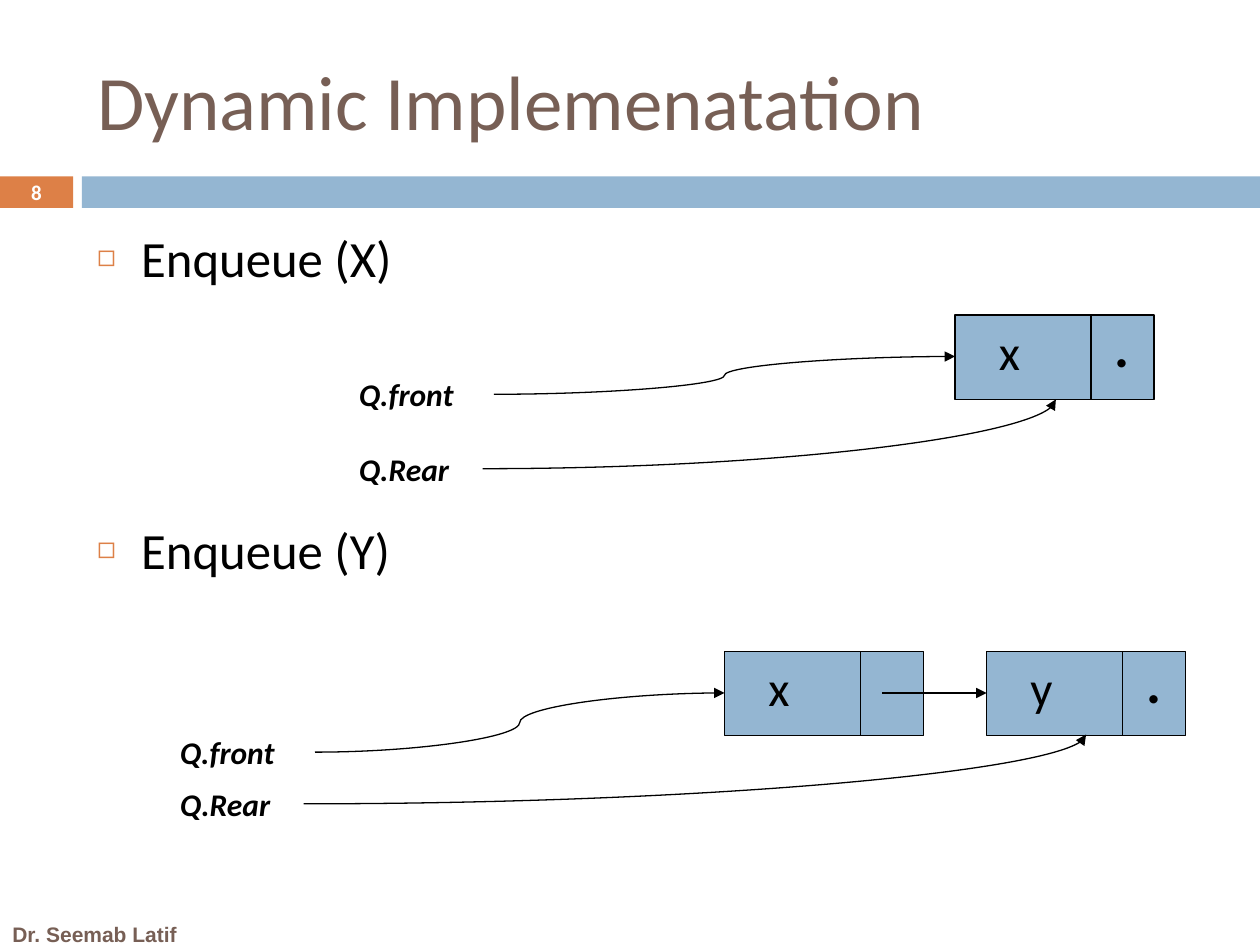
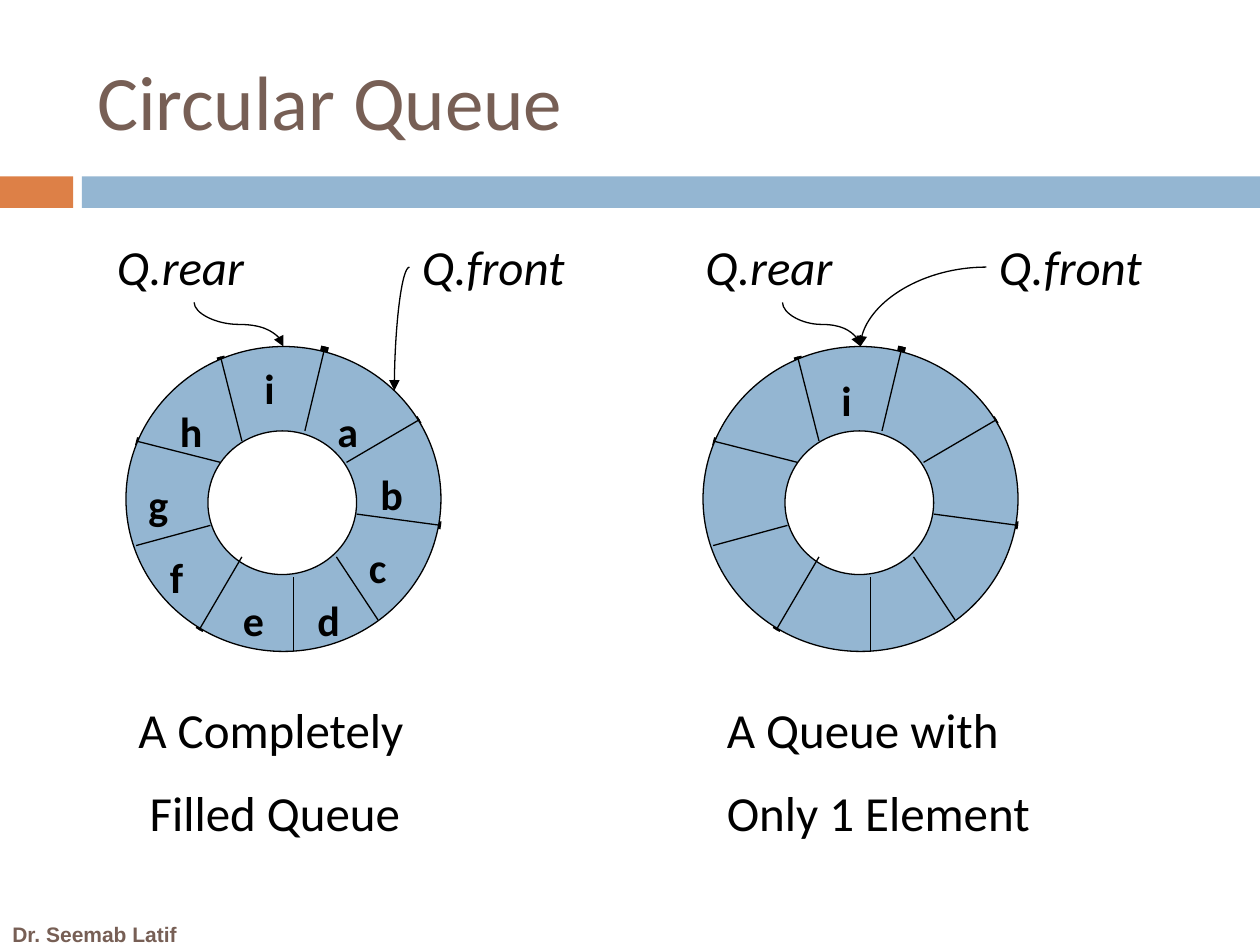
"""Build two slides on linked and circular queues."""
from dataclasses import dataclass
from lxml.etree import SubElement
from pptx import Presentation
from pptx.dml.color import RGBColor
from pptx.enum.shapes import MSO_CONNECTOR, MSO_SHAPE
from pptx.enum.text import MSO_ANCHOR, MSO_AUTO_SIZE, PP_ALIGN
from pptx.oxml.ns import qn
from pptx.util import Inches, Pt


@dataclass(frozen=True)
class Theme:
    brown: RGBColor = RGBColor.from_string("775F55")
    orange: RGBColor = RGBColor.from_string("DD8047")
    blue: RGBColor = RGBColor.from_string("94B6D2")
    black: RGBColor = RGBColor.from_string("000000")
    white: RGBColor = RGBColor.from_string("FFFFFF")
    font: str = "Calibri"
    footer_font: str = "Arial"
    title: float = 44
    bullet: float = 29
    label: float = 28
    dot: float = 32
    letter: float = 24
    pointer: float = 18
    small: float = 12
    hairline: float = 0.75
    tick: float = 4.5


theme = Theme()


def write(frame, lines, size, color=theme.black, font=theme.font, bold=False,
          italic=False, align=PP_ALIGN.LEFT, anchor=MSO_ANCHOR.TOP, gap=0):
    frame.word_wrap = True
    frame.auto_size = MSO_AUTO_SIZE.NONE
    frame.vertical_anchor = anchor
    frame.text = "\n".join(lines)
    for index, paragraph in enumerate(frame.paragraphs):
        paragraph.alignment = align
        paragraph.space_before = Pt(gap if index else 0)
        paragraph.font.size = Pt(size)
        paragraph.font.name = font
        paragraph.font.color.rgb = color
        paragraph.font.bold = bold
        paragraph.font.italic = italic


def draw_line(slide, start, end, preset="line", arrow=False, width=theme.hairline, upright=False):
    (x1, y1), (x2, y2) = start, end
    if upright:
        mid_x, mid_y = (x1 + x2) / 2, (y1 + y2) / 2
        half_x, half_y = (x2 - x1) / 2, (y2 - y1) / 2
        x1, y1, x2, y2 = mid_x + half_y, mid_y - half_x, mid_x - half_y, mid_y + half_x
    line = slide.shapes.add_connector(
        MSO_CONNECTOR.STRAIGHT, Inches(x1), Inches(y1), Inches(x2), Inches(y2))
    line.line.color.rgb = theme.black
    line.line.width = Pt(width)
    properties = line._element.spPr
    properties.find(qn("a:prstGeom")).set("prst", preset)
    if upright:
        properties.find(qn("a:xfrm")).set("rot", "16200000")
    if arrow:
        SubElement(properties.find(qn("a:ln")), qn("a:tailEnd"), type="triangle")
    SubElement(properties, qn("a:effectLst"))


deck = Presentation()
deck.slide_width, deck.slide_height = Inches(10), Inches(7.5)
dynamic = deck.slides.add_slide(deck.slide_layouts[1])
circular = deck.slides.add_slide(deck.slide_layouts[5])

for slide, heading in ((dynamic, "Dynamic Implemenatation"), (circular, "Circular Queue")):
    for left, width, color in ((0, 0.58, theme.orange), (0.65, 9.35, theme.blue)):
        band = slide.shapes.add_shape(
            MSO_SHAPE.RECTANGLE, Inches(left), Inches(1.4), Inches(width), Inches(0.25))
        band.shadow.inherit = False
        band.fill.solid()
        band.fill.fore_color.rgb = color
        band.line.fill.background()
    author = slide.shapes.add_textbox(Inches(0), Inches(7.25), Inches(1.83), Inches(0.32))
    write(author.text_frame, ["Dr. Seemab Latif"], theme.small, theme.brown,
          theme.footer_font, bold=True, anchor=MSO_ANCHOR.MIDDLE)
    title = slide.shapes.title
    title.left, title.top, title.width, title.height = map(Inches, (0.67, 0.25, 8.92, 1.08))
    write(title.text_frame, [heading], theme.title, theme.brown, anchor=MSO_ANCHOR.MIDDLE)

number = dynamic.shapes.add_textbox(Inches(0), Inches(1.39), Inches(0.58), Inches(0.27))
write(number.text_frame, ["8"], theme.small, theme.white, bold=True,
      align=PP_ALIGN.CENTER, anchor=MSO_ANCHOR.MIDDLE)

operations = dynamic.placeholders[1]
operations.left, operations.top, operations.width, operations.height = map(
    Inches, (0.67, 1.75, 8.92, 4.92))
operations.text_frame.text = "Enqueue (X)\nEnqueue (Y)"
write(operations.text_frame, ["Enqueue (X)", "Enqueue (Y)"], theme.bullet, gap=132)
for operation in operations.text_frame.paragraphs:
    layout = operation._p.get_or_add_pPr()
    layout.set("marL", str(Inches(0.35)))
    layout.set("indent", str(-Inches(0.35)))
    run_defaults = layout.find(qn("a:defRPr"))
    layout.remove(run_defaults)
    SubElement(SubElement(layout, qn("a:buClr")), qn("a:srgbClr"), val=str(theme.orange))
    SubElement(layout, qn("a:buSzPct"), val="60000")
    SubElement(layout, qn("a:buChar"), char="◻")
    layout.append(run_defaults)

NODE_WIDTH, NODE_HEIGHT = 1.58, 0.67
for letter, left, top, is_last in (("x", 7.58, 2.5, True), ("x", 5.75, 5.17, False),
                                   ("y", 7.83, 5.17, True)):
    node = dynamic.shapes.add_shape(MSO_SHAPE.RECTANGLE, Inches(left), Inches(top),
                                    Inches(NODE_WIDTH), Inches(NODE_HEIGHT))
    node.shadow.inherit = False
    node.fill.solid()
    node.fill.fore_color.rgb = theme.blue
    node.line.color.rgb = theme.black
    node.line.width = Pt(theme.hairline)
    draw_line(dynamic, (left + 1.08, top), (left + 1.08, top + NODE_HEIGHT))
    value = dynamic.shapes.add_textbox(
        Inches(left + 0.25), Inches(top), Inches(0.4), Inches(0.57))
    write(value.text_frame, [letter], theme.label)
    if is_last:
        null_link = dynamic.shapes.add_textbox(
            Inches(left + 1.17), Inches(top - 0.08), Inches(0.33), Inches(0.63))
        write(null_link.text_frame, ["."], theme.dot, bold=True)
draw_line(dynamic, (7, 5.5), (7.83, 5.5), arrow=True)

for name, left, top, target, preset in (
        ("Q.front", 2.75, 2.93, (7.58, 2.83), "curvedConnector3"),
        ("Q.Rear", 2.75, 3.52, (8.38, 3.17), "curvedConnector2"),
        ("Q.front", 1.33, 5.77, (5.75, 5.5), "curvedConnector3"),
        ("Q.Rear", 1.33, 6.18, (8.62, 5.83), "curvedConnector2")):
    width = 1.17 if name == "Q.front" else 1.08
    pointer = dynamic.shapes.add_textbox(Inches(left), Inches(top), Inches(width), Inches(0.4))
    write(pointer.text_frame, [name], theme.pointer, bold=True, italic=True)
    draw_line(dynamic, (left + width, top + 0.2), target, preset, arrow=True)

SPOKES = (((0.92, 1.67), (0.58, 2.25)), ((1.33, 1.83), (1.33, 2.42)),
          ((1.67, 1.67), (2, 2.17)), ((1.83, 1.33), (2.5, 1.42)),
          ((1.75, 0.92), (2.33, 0.58)), ((1.42, 0.67), (1.58, 0)),
          ((0.75, 0.92), (0.08, 0.75)), ((0.67, 1.42), (0.08, 1.58)),
          ((0.75, 0.08), (0.92, 0.75)))
RING_TOP = 2.75
for ring_left in (1, 5.58):
    spokes = [[(ring_left + x, RING_TOP + y) for x, y in spoke] for spoke in SPOKES]
    for inner, outer in spokes:
        draw_line(circular, inner, outer, width=theme.tick)
    for inset_x, inset_y, width, height, color in ((0, 0, 2.5, 2.42, theme.blue),
                                                 (0.65, 0.67, 1.18, 1.14, theme.white)):
        disc = circular.shapes.add_shape(
            MSO_SHAPE.OVAL, Inches(ring_left + inset_x), Inches(RING_TOP + inset_y),
            Inches(width), Inches(height))
        disc.shadow.inherit = False
        disc.fill.solid()
        disc.fill.fore_color.rgb = color
        disc.line.color.rgb = theme.black
        disc.line.width = Pt(theme.hairline)
    for inner, outer in spokes:
        draw_line(circular, inner, outer)

for letter, left, top in (
        ("a", 2.58, 3.17), ("b", 2.92, 3.67), ("c", 2.83, 4.25), ("d", 2.42, 4.67),
        ("e", 1.83, 4.67), ("f", 1.25, 4.33), ("g", 1.08, 3.75), ("h", 1.33, 3.17),
        ("i", 2, 2.83), ("i", 6.58, 2.92)):
    element = circular.shapes.add_textbox(Inches(left), Inches(top), Inches(0.42), Inches(0.5))
    write(element.text_frame, [letter], theme.letter, bold=True)

for name, left in (("Q.rear", 0.83), ("Q.front", 3.25), ("Q.rear", 5.5), ("Q.front", 7.83)):
    pointer = circular.shapes.add_textbox(Inches(left), Inches(1.83), Inches(1.42), Inches(0.57))
    write(pointer.text_frame, [name], theme.label, italic=True)
for start, end in (((1.54, 2.4), (2.25, 2.75)), ((6.21, 2.4), (6.83, 2.75))):
    draw_line(circular, start, end, "curvedConnector3", arrow=True, upright=True)
for start, end in (((3.25, 2.12), (3.13, 3.1)), ((7.83, 2.12), (6.83, 2.75))):
    draw_line(circular, start, end, "curvedConnector2", arrow=True)

for lines, left, width, indent in ((["A Completely", "Filled Queue"], 1, 2.67, 0.09),
                                   (["A Queue with", "Only 1 Element"], 5.67, 3.42, 0)):
    caption = circular.shapes.add_textbox(Inches(left), Inches(5.5), Inches(width), Inches(1.27))
    write(caption.text_frame, lines, theme.label, gap=14)
    caption.text_frame.paragraphs[1]._p.get_or_add_pPr().set("marL", str(Inches(indent)))

deck.save("out.pptx")
